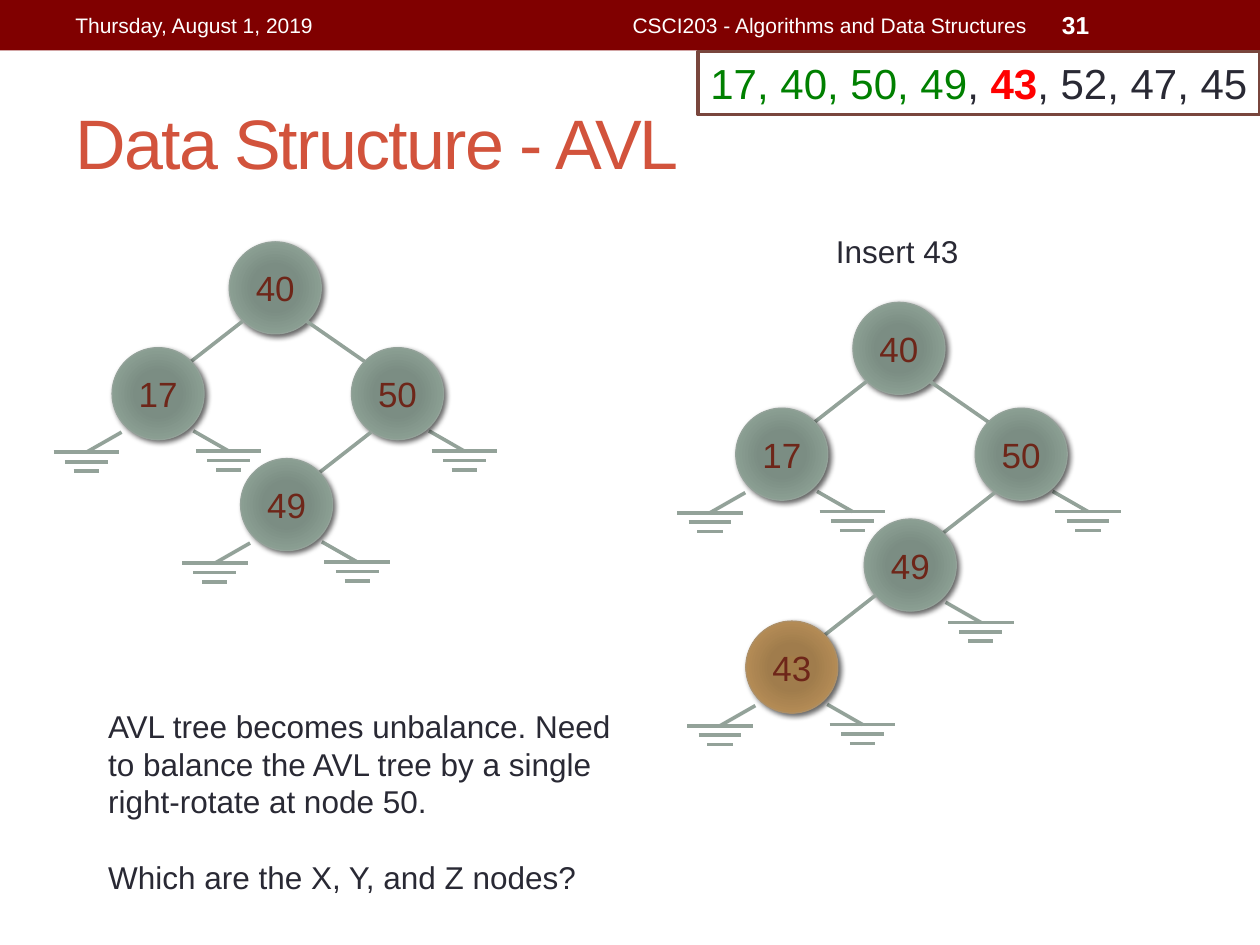
from lxml import etree
from pptx import Presentation
from pptx.dml.color import RGBColor
from pptx.enum import shapes, text
from pptx.oxml import parse_xml
from pptx.oxml.ns import qn
from pptx.util import Inches, Pt

WHITE = RGBColor(0xFF, 0xFF, 0xFF)
MAROON = RGBColor(0x80, 0x00, 0x00)
CORAL = RGBColor(0xD2, 0x53, 0x3C)
INK = RGBColor(0x29, 0x29, 0x34)
GREEN = RGBColor(0x00, 0x80, 0x00)
RED = RGBColor(0xFF, 0x00, 0x00)
BROWN = RGBColor(0x79, 0x46, 0x3D)
RUST = RGBColor(0x6E, 0x26, 0x19)
SAGE = RGBColor(0x93, 0xA2, 0x99)
TAN = RGBColor(0xAD, 0x8F, 0x67)
STOPS = {
    SAGE: ((0, "7B8E82"), (34, "7B8D83"), (70, "8A9E92"), (100, SAGE)),
    TAN: ((0, "A37D49"), (34, "A07C4C"), (70, "B38B55"), (100, TAN)),
}
NS = 'xmlns:a="http://schemas.openxmlformats.org/drawingml/2006/main"'


def style(run, size, color, bold=False):
    run.font.name = "Arial"
    run.font.size = Pt(size)
    run.font.color.rgb = color
    run.font.bold = bold


def draw_line(group, x1, y1, x2, y2):
    line = group.shapes.add_connector(
        shapes.MSO_CONNECTOR.STRAIGHT, Inches(x1), Inches(y1), Inches(x2), Inches(y2))
    line.line.color.rgb = SAGE
    line.line.width = Pt(2.08)
    etree.SubElement(line._element.spPr, qn("a:effectLst"))


prs = Presentation()
prs.slide_width, prs.slide_height = Inches(10), Inches(7.5)
slide = prs.slides.add_slide(prs.slide_layouts[5])

# Header band
band = slide.shapes.add_shape(shapes.MSO_SHAPE.RECTANGLE, 0, 0, Inches(10), Inches(0.4))
band.shadow.inherit = False
band.fill.solid()
band.fill.fore_color.rgb = MAROON
band.line.fill.background()

# Title
title = slide.shapes.title
title.left, title.top = Inches(0.5), Inches(0.58)
title.width, title.height = Inches(9), Inches(1.08)
title.text_frame.text = "Data Structure - AVL"
title.text_frame.vertical_anchor = text.MSO_ANCHOR.MIDDLE
para = title.text_frame.paragraphs[0]
para.alignment = text.PP_ALIGN.LEFT
style(para.runs[0], 40, CORAL)
para.runs[0].font._element.set("spc", "-100")

# Header texts, caption and remarks
LEFT, MID, RIGHT = text.PP_ALIGN.LEFT, text.PP_ALIGN.CENTER, text.PP_ALIGN.RIGHT
remark = ("AVL tree becomes unbalance. Need to balance the AVL tree by a single "
          "right-rotate at node 50.\nWhich are the X, Y, and Z nodes?")
for words, x, y, w, h, size, color, bold, align in (
    ("Thursday, August 1, 2019", 0.5, 0.02, 3.17, 0.36, 12, WHITE, False, LEFT),
    ("CSCI203 - Algorithms and Data Structures", 3.75, 0.02, 4.5, 0.36, 12, WHITE, False, RIGHT),
    ("31", 8.33, 0.02, 1.17, 0.36, 14, WHITE, True, LEFT),
    ("Insert 43", 6.33, 1.79, 1.58, 0.4, 18, INK, False, MID),
    (remark, 0.76, 5.56, 4.34, 1.62, 18, INK, False, LEFT),
):
    frame = slide.shapes.add_textbox(Inches(x), Inches(y), Inches(w), Inches(h)).text_frame
    frame.word_wrap = True
    frame.text = words
    if color == WHITE:
        frame.vertical_anchor = text.MSO_ANCHOR.MIDDLE
    for i, para in enumerate(frame.paragraphs):
        para.alignment = align
        para.space_before = Pt(21.5 * i)
        style(para.runs[0], size, color, bold)

# Key list
keys = slide.shapes.add_shape(
    shapes.MSO_SHAPE.RECTANGLE, Inches(5.54), Inches(0.41), Inches(4.46), Inches(0.5))
keys.shadow.inherit = False
keys.fill.solid()
keys.fill.fore_color.rgb = WHITE
keys.line.color.rgb = BROWN
keys.line.width = Pt(2.08)
keys.text_frame.word_wrap = False
keys.text_frame.vertical_anchor = text.MSO_ANCHOR.TOP
para = keys.text_frame.paragraphs[0]
para.alignment = LEFT
for words, color in (("17, 40, 50, 49", GREEN), (",", INK), (" 43", RED), (", 52, 47, 45", INK)):
    run = para.add_run()
    run.text = words
    style(run, 24, color, color == RED)

# Trees: key, left, top, side of its parent (-1 left, 1 right), sides with a null link
before = (
    ("40", 1.82, 1.92, 0, ()),
    ("17", 0.89, 2.76, -1, (-1, 1)),
    ("50", 2.79, 2.76, 1, (1,)),
    ("49", 1.91, 3.64, -1, (-1, 1)),
)
after = before[:3] + (("49", 1.91, 3.64, -1, (1,)), ("43", 0.97, 4.45, -1, (-1, 1)))
SIZE = 0.73

for tree, dx, dy in ((before, 0, 0), (after, 4.95, 0.48)):
    group = slide.shapes.add_group_shape()
    for key, x, y, side, nulls in tree:
        x, y = x + dx, y + dy
        mid = x + SIZE / 2

        # Link up to the parent
        if side:
            foot = mid - side * 0.26
            reach = 0.41 if side < 0 else 0.46
            draw_line(group, foot, y + 0.11, foot - side * reach, y - 0.21)

        # Null links
        for way in nulls:
            hub = mid + way * (0.53 if key == "50" else 0.56) - 0.01 * (way < 0)
            top = y + (0.82 if way > 0 else 0.83)
            draw_line(group, hub - way * 0.28, top - 0.16, hub, top)
            for i, half in enumerate((0.26, 0.17, 0.1)):
                draw_line(group, hub - half, top + i * 0.075, hub + half, top + i * 0.075)

        # Node
        tone = TAN if key == "43" else SAGE
        node = group.shapes.add_shape(
            shapes.MSO_SHAPE.OVAL, Inches(x), Inches(y), Inches(SIZE), Inches(SIZE))
        node.line.color.rgb = tone
        node.line.width = Pt(0.75)
        node.fill.gradient()
        props = node._element.spPr
        stops = "".join(f'<a:gs pos="{pos * 1000}"><a:srgbClr val="{c}"/></a:gs>'
                        for pos, c in STOPS[tone])
        props.replace(props.find(qn("a:gradFill")), parse_xml(
            f'<a:gradFill {NS} rotWithShape="1"><a:gsLst>{stops}</a:gsLst><a:path path="circle">'
            '<a:fillToRect l="100000" t="100000" r="100000" b="100000"/></a:path></a:gradFill>'))
        node.shadow.inherit = False
        props.find(qn("a:effectLst")).append(parse_xml(
            f'<a:outerShdw {NS} blurRad="{Pt(3)}" dist="{Pt(2)}" dir="2700000" rotWithShape="0">'
            '<a:srgbClr val="000000"><a:alpha val="60000"/></a:srgbClr></a:outerShdw>'))
        frame = node.text_frame
        frame.margin_left = frame.margin_right = 0
        frame.vertical_anchor = text.MSO_ANCHOR.MIDDLE
        frame.text = key
        frame.paragraphs[0].alignment = MID
        style(frame.paragraphs[0].runs[0], 20, RUST)

prs.save("out.pptx")
